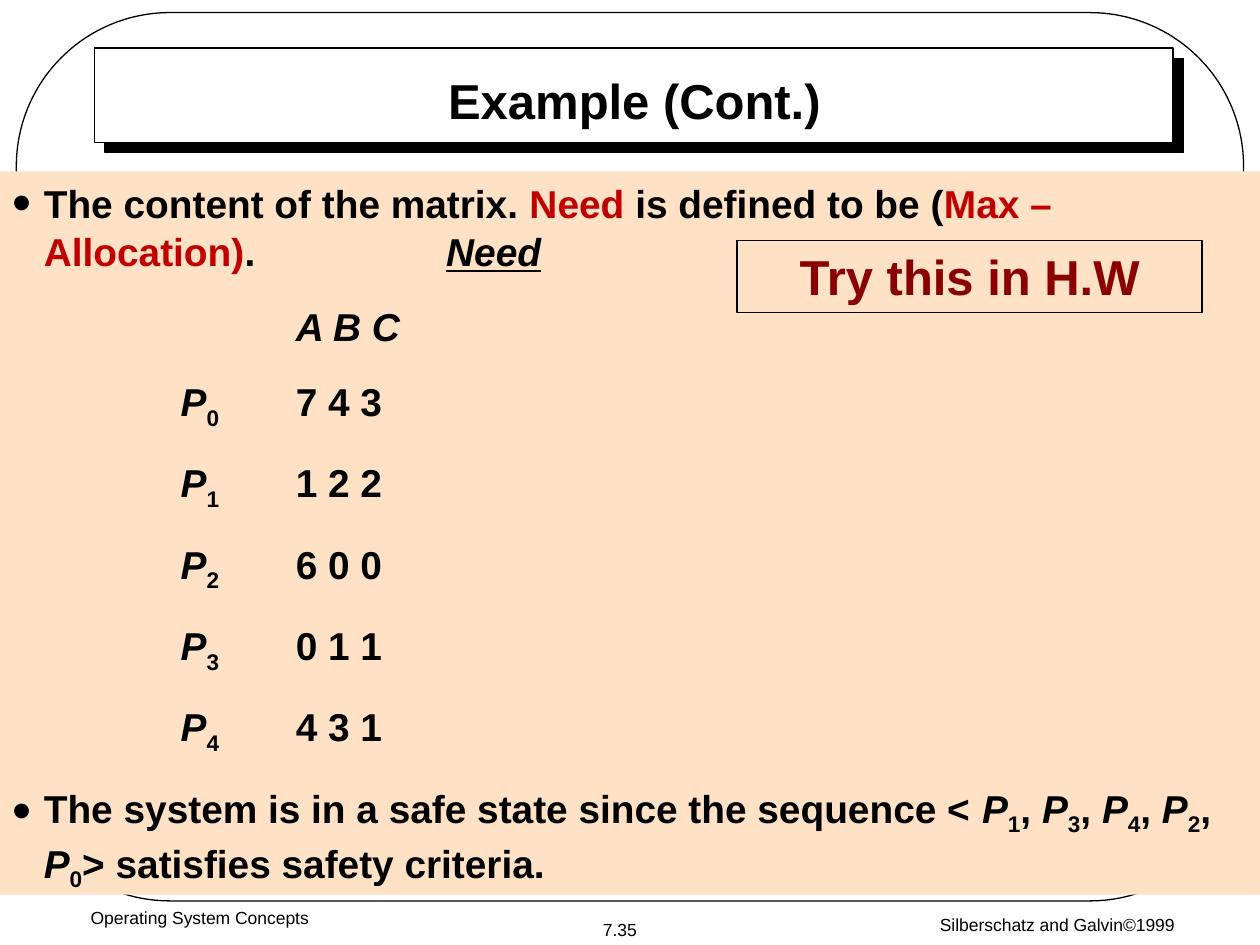
from lxml import etree
from pptx import Presentation
from pptx.dml.color import RGBColor
from pptx.enum.shapes import MSO_SHAPE
from pptx.enum.text import MSO_ANCHOR, PP_ALIGN
from pptx.oxml.ns import qn
from pptx.util import Inches, Pt

RECTANGLE, ROUNDED = MSO_SHAPE.RECTANGLE, MSO_SHAPE.ROUNDED_RECTANGLE
TOP, MIDDLE = MSO_ANCHOR.TOP, MSO_ANCHOR.MIDDLE
LEFT, CENTER = PP_ALIGN.LEFT, PP_ALIGN.CENTER
COLORS = {"black": "000000", "white": "FFFFFF", "peach": "FFE2C5",
          "red": "C00000", "maroon": "8A0000"}

presentation = Presentation()
presentation.slide_width, presentation.slide_height = Inches(10), Inches(7.5)
slide = presentation.slides.add_slide(presentation.slide_layouts[6])


def add_box(kind, box, fill=None, outlined=True):
    shape = slide.shapes.add_shape(kind, *[Inches(value) for value in box])
    shape.shadow.inherit = False
    if fill:
        shape.fill.solid()
        shape.fill.fore_color.rgb = RGBColor.from_string(COLORS[fill])
    else:
        shape.fill.background()
    if outlined:
        shape.line.color.rgb = RGBColor.from_string(COLORS["black"])
        shape.line.width = Pt(0.75)
    else:
        shape.line.fill.background()
    return shape


def write_line(shape, text, size, color="black", bold=False, anchor=TOP):
    frame = shape.text_frame
    frame.word_wrap = True
    frame.vertical_anchor = anchor
    paragraph = frame.paragraphs[0]
    paragraph.alignment = CENTER
    paragraph.font.name, paragraph.font.size = "Arial", Pt(size)
    paragraph.font.bold = bold
    paragraph.font.color.rgb = RGBColor.from_string(COLORS[color])
    paragraph.add_run().text = text
    return paragraph


# Title panel with a hard shadow, and the rounded slide frame
panel = add_box(RECTANGLE, (0.75, 0.38, 8.56, 0.75), "white")
effects = panel._element.spPr.find(qn("a:effectLst"))
shadow = etree.SubElement(effects, qn("a:outerShdw"), dist=str(Pt(8.5)),
                          dir="2700000", algn="ctr", rotWithShape="0")
etree.SubElement(shadow, qn("a:srgbClr"), val=COLORS["black"])
slide_frame = add_box(ROUNDED, (0.13, 0.1, 9.74, 7.05))
slide_frame.adjustments[0] = 0.173

# Title and footers
captions = [
    ((1.27, 0.54, 7.53, 0.5), "Example (Cont.)", 28, True, MIDDLE),
    ((0, 7.15, 3.17, 0.35), "Operating System Concepts", 10, False, TOP),
    ((4.45, 7.24, 0.94, 0.27), "7.35", 10, False, MIDDLE),
    ((6.83, 7.15, 3.17, 0.35), "Silberschatz and Galvin©1999", 10, False, TOP),
]
for box, text, size, bold, anchor in captions:
    caption = slide.shapes.add_textbox(*[Inches(value) for value in box])
    paragraph = write_line(caption, text, size, bold=bold, anchor=anchor)
# The taller closing space sets the credit's baseline
space = paragraph.add_run()
space.text = " "
space.font.name, space.font.size = "Times New Roman", Pt(14)

# Body content: each paragraph is a list of (text, style) runs
need = {"P0": "7 4 3", "P1": "1 2 2", "P2": "6 0 0", "P3": "0 1 1", "P4": "4 3 1"}
safe_sequence = ["P1", "P3", "P4", "P2", "P0"]
BULLET_TABS = [(2.68, "l"), (3.82, "ctr")]
ROW_TABS = [(1.25, "l"), (2.25, "l")]

definition = [("The content of the matrix. ", ""), ("Need", "red"),
              (" is defined to be (", ""), ("Max – Allocation)", "red"),
              (".\t\t", ""), ("Need", "underlined")]
conclusion = [("The system is in a safe state since the sequence < ", "")]
for process in safe_sequence:
    separator = "> satisfies safety criteria." if process == safe_sequence[-1] else ", "
    conclusion += [(process[0], "italic"), (process[1], "subscript"), (separator, "")]

content = [(definition, True), ([("\t\t", ""), ("A B C", "italic")], False)]
for process, values in need.items():
    content.append(([("\t ", ""), (process[0], "italic"),
                     (process[1] + "\t", "subscript"), (values, "")], False))
content.append((conclusion, True))

# Body panel
body = add_box(RECTANGLE, (0, 1.36, 10, 5.74), "peach", outlined=False)
frame = body.text_frame
frame.word_wrap = True
frame.vertical_anchor = TOP
for index, (runs, bulleted) in enumerate(content):
    paragraph = frame.add_paragraph() if index else frame.paragraphs[0]
    paragraph.alignment = LEFT
    paragraph.line_spacing = 1.04
    paragraph.space_before = Pt(15)
    paragraph.font.name, paragraph.font.size = "Arial", Pt(22.2)
    paragraph.font.bold = True
    paragraph.font.color.rgb = RGBColor.from_string(COLORS["black"])

    # Bullet and tab stops go before the default run properties
    properties = paragraph._p.get_or_add_pPr()
    defaults = properties.find(qn("a:defRPr"))
    if bulleted:
        properties.set("marL", str(Inches(0.25)))
        properties.set("indent", str(Inches(-0.25)))
        bullet_color = etree.Element(qn("a:buClr"))
        etree.SubElement(bullet_color, qn("a:srgbClr"), val=COLORS["black"])
        defaults.addprevious(bullet_color)
        defaults.addprevious(etree.Element(qn("a:buSzPct"), val="140000"))
        defaults.addprevious(etree.Element(qn("a:buFont"), typeface="Arial"))
        defaults.addprevious(etree.Element(qn("a:buChar"), char="•"))
    tab_list = etree.Element(qn("a:tabLst"))
    for position, alignment in BULLET_TABS if bulleted else ROW_TABS:
        etree.SubElement(tab_list, qn("a:tab"), pos=str(Inches(position)), algn=alignment)
    defaults.addprevious(tab_list)

    for text, style in runs:
        run = paragraph.add_run()
        run.text = text
        if style == "red":
            run.font.color.rgb = RGBColor.from_string(COLORS["red"])
        elif style == "subscript":
            run._r.get_or_add_rPr().set("baseline", "-25000")
        elif style:
            run.font.italic = True
            if style == "underlined":
                run.font.underline = True

# Homework callout
callout = add_box(RECTANGLE, (5.85, 1.91, 3.69, 0.57))
write_line(callout, "Try this in H.W", 28, "maroon", bold=True)

presentation.save("out.pptx")
